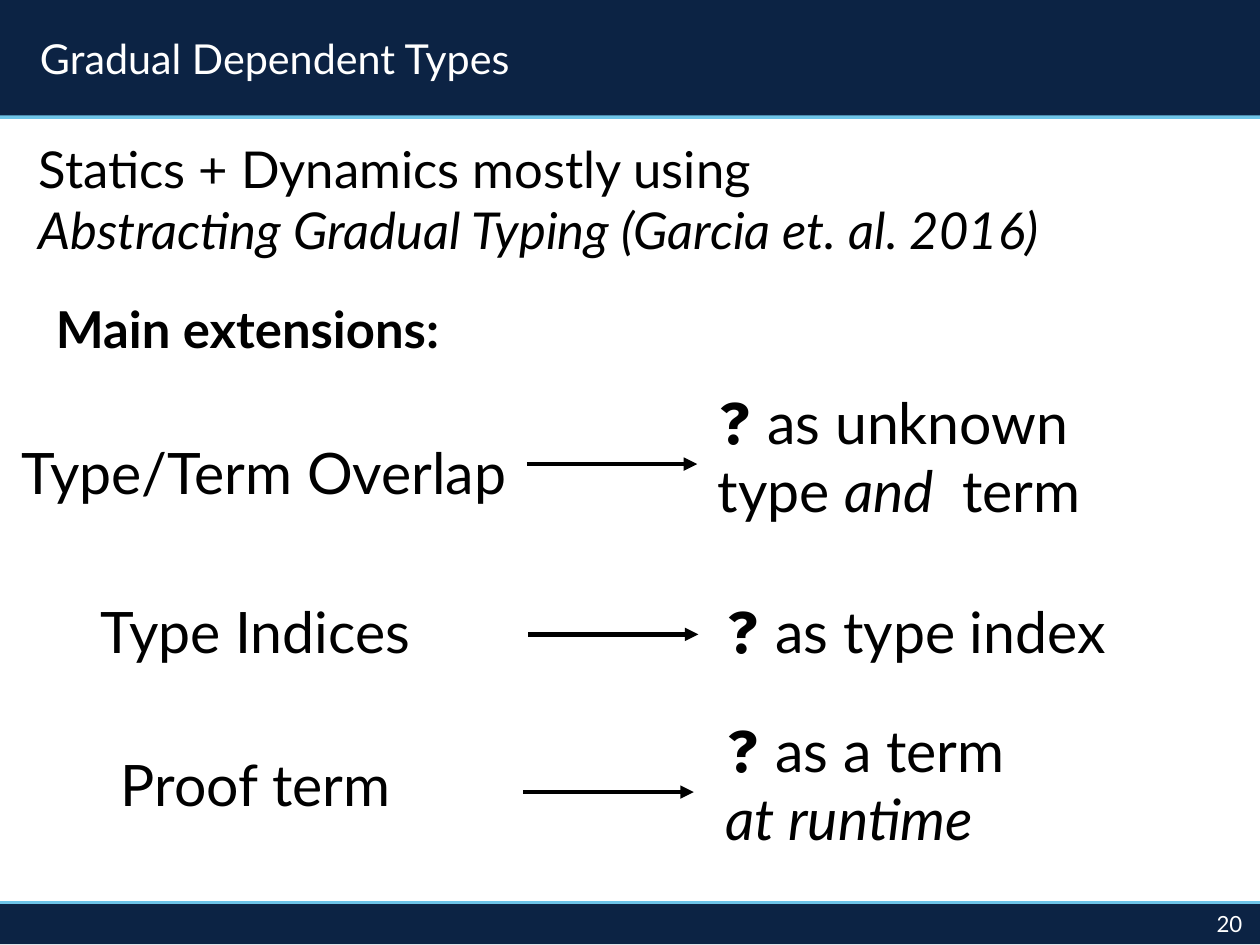
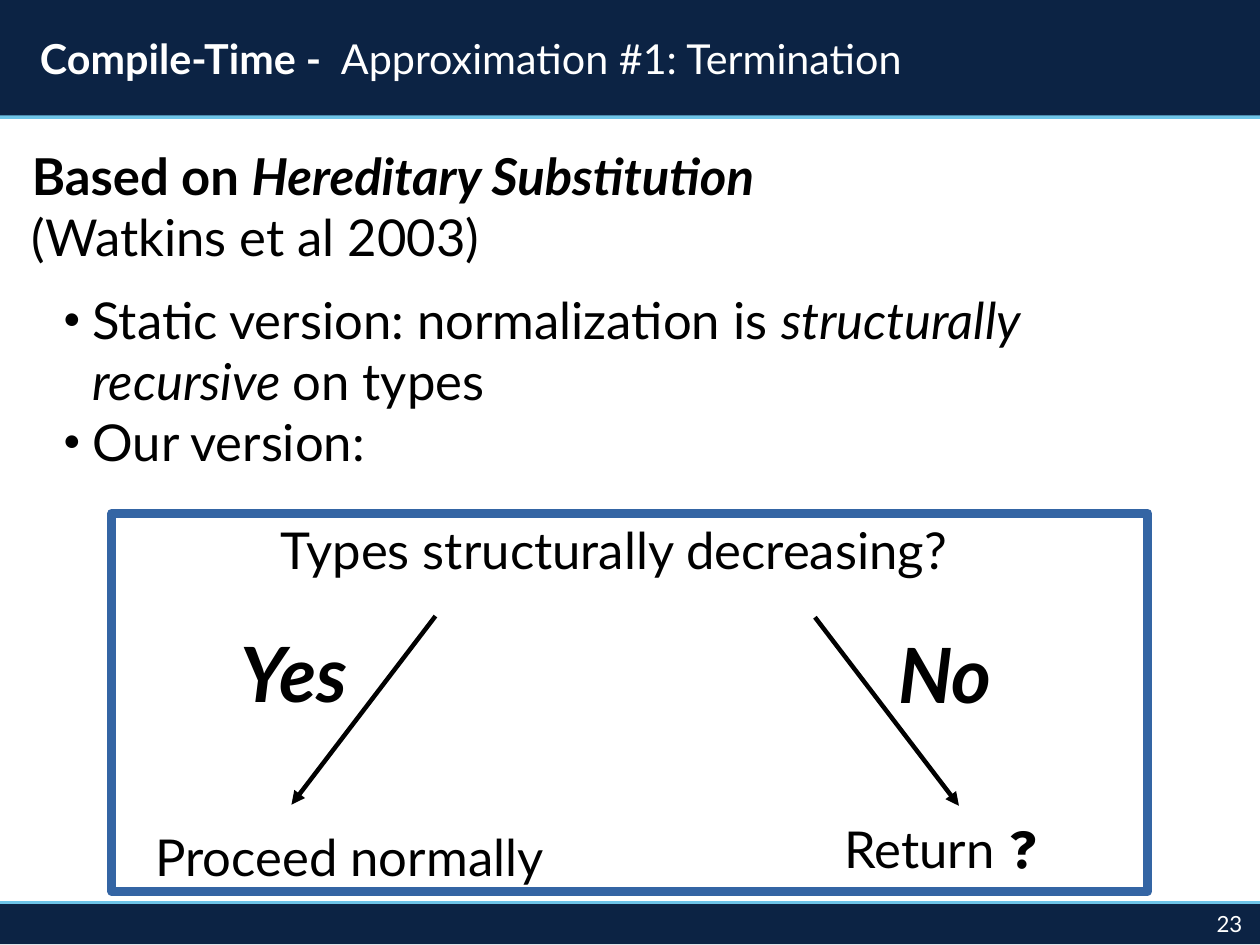
from dataclasses import dataclass

from lxml import etree
from pptx import Presentation
from pptx.dml.color import RGBColor
from pptx.enum.shapes import MSO_CONNECTOR, MSO_SHAPE
from pptx.enum.text import MSO_ANCHOR, PP_ALIGN
from pptx.oxml.ns import qn
from pptx.util import Inches, Pt

STRAIGHT = MSO_CONNECTOR.STRAIGHT
RECTANGLE = MSO_SHAPE.RECTANGLE
TOP, MIDDLE = MSO_ANCHOR.TOP, MSO_ANCHOR.MIDDLE
LEFT, RIGHT = PP_ALIGN.LEFT, PP_ALIGN.RIGHT

COLOURS = {
    "navy": "0C2344",
    "sky": "6EC4E8",
    "frame": "3465A4",
    "ink": "000000",
    "white": "FFFFFF",
}
BODY_FONT, CODE_FONT = "Lato", "Fira Code"
CM_PER_INCH = 2.54
WIDTH, HEIGHT = 28 / CM_PER_INCH, 21 / CM_PER_INCH
TITLE_HEIGHT, FOOTER_TOP, FOOTER_HEIGHT = 1.01, 7.91, 0.35
ARROW_WIDTH = 2.83
BOX_INSETS = (0.1, 0.05, 0.1, 0.05)
NO_INSETS = (0, 0, 0, 0)
BULLET_INDENT = 0.24


@dataclass(frozen=True)
class Span:
    text: str
    bold: bool = False
    italic: bool = False
    font: str = BODY_FONT


@dataclass(frozen=True)
class TextBox:
    left: float
    top: float
    width: float
    height: float
    paras: tuple[tuple[Span, ...], ...]
    size: int = 32
    colour: str = "ink"
    wrap: bool = True
    bullets: bool = False
    anchor: int = MIDDLE
    align: int = LEFT
    insets: tuple[float, ...] = BOX_INSETS


@dataclass(frozen=True)
class Arrow:
    left: float
    top: float
    across: float
    down: float = 0


UNKNOWN = Span("?", bold=True, font=CODE_FONT)


def label(left: float, top: float, width: float, height: float, *paras: tuple[Span, ...]) -> TextBox:
    return TextBox(left, top, width, height, paras, size=36, wrap=False)


def colour_of(name: str) -> RGBColor:
    return RGBColor.from_string(COLOURS[name])


def set_values(target, values: dict) -> None:
    for name, value in values.items():
        setattr(target, name, value)


def add_bullet(para) -> None:
    properties = para._p.get_or_add_pPr()
    properties.set("marL", str(Inches(BULLET_INDENT)))
    properties.set("indent", str(-Inches(BULLET_INDENT)))
    colour = etree.SubElement(properties, qn("a:buClr"))
    etree.SubElement(colour, qn("a:srgbClr"), val=COLOURS["ink"])
    etree.SubElement(properties, qn("a:buSzPct"), val="45000")
    etree.SubElement(properties, qn("a:buFont"), typeface=CODE_FONT)
    etree.SubElement(properties, qn("a:buChar"), char="●")


def fill_text(frame, box: TextBox) -> None:
    sides = ("margin_left", "margin_top", "margin_right", "margin_bottom")
    set_values(frame, {side: Inches(inset) for side, inset in zip(sides, box.insets)})
    set_values(frame, {"word_wrap": box.wrap, "vertical_anchor": box.anchor})
    for index, spans in enumerate(box.paras):
        para = frame.add_paragraph() if index else frame.paragraphs[0]
        para.alignment = box.align
        if box.bullets:
            add_bullet(para)
        for span in spans:
            run = para.add_run()
            run.text = span.text
            set_values(run.font, {
                "name": span.font,
                "size": Pt(box.size),
                "bold": span.bold,
                "italic": span.italic,
            })
            run.font.color.rgb = colour_of(box.colour)


def add_text(page, box: TextBox) -> None:
    shape = page.shapes.add_textbox(
        Inches(box.left), Inches(box.top), Inches(box.width), Inches(box.height))
    fill_text(shape.text_frame, box)


def add_line(page, start: tuple[float, float], end: tuple[float, float],
             colour: str, width: float, head: bool = False) -> None:
    line = page.shapes.add_connector(
        STRAIGHT, Inches(start[0]), Inches(start[1]), Inches(end[0]), Inches(end[1]))
    line.line.color.rgb = colour_of(colour)
    line.line.width = Pt(width)
    if head:
        etree.SubElement(line.line._get_or_add_ln(), qn("a:tailEnd"), type="triangle")
    etree.SubElement(line._element.spPr, qn("a:effectLst"))


def add_arrow(page, arrow: Arrow) -> None:
    end = (arrow.left + arrow.across, arrow.top + arrow.down)
    add_line(page, (arrow.left, arrow.top), end, "ink", ARROW_WIDTH, head=True)


def add_band(page, top: float, height: float):
    band = page.shapes.add_shape(RECTANGLE, 0, Inches(top), Inches(WIDTH), Inches(height))
    band.shadow.inherit = False
    band.fill.solid()
    band.fill.fore_color.rgb = colour_of("navy")
    band.line.fill.background()
    return band


def add_frame(page, left: float, top: float, width: float, height: float) -> None:
    frame = page.shapes.add_shape(
        RECTANGLE, Inches(left), Inches(top), Inches(width), Inches(height))
    frame.shadow.inherit = False
    frame.fill.background()
    frame.line.color.rgb = colour_of("frame")
    frame.line.width = Pt(5.67)


def add_page(deck, title: tuple[Span, ...], number: str):
    page = deck.slides.add_slide(deck.slide_layouts[6])
    for height in (FOOTER_TOP, TITLE_HEIGHT):
        add_line(page, (0, height), (WIDTH, height), "sky", 4.25)
    add_band(page, FOOTER_TOP, FOOTER_HEIGHT)
    title_band = add_band(page, 0, TITLE_HEIGHT)
    fill_text(title_band.text_frame, TextBox(
        0, 0, WIDTH, TITLE_HEIGHT, (title,), size=26, colour="white",
        insets=(0.35, 0, 0, 0)))
    add_text(page, TextBox(
        9.37, 7.96, 1.5, 0.22, ((Span(number),),), size=14, colour="white",
        anchor=TOP, align=RIGHT, insets=NO_INSETS))
    return page


def build_extensions(deck) -> None:
    page = add_page(deck, (Span("Gradual Dependent Types"),), "20")
    boxes = (
        TextBox(0.24, 1.08, 10.16, 1.31, (
            (Span("Statics + Dynamics mostly using"),),
            (Span("Abstracting Gradual Typing (Garcia et. al. 2016)", italic=True),))),
        TextBox(0.39, 2.29, 4.8, 1.17, ((Span("Main extensions:", bold=True),),)),
        label(0.09, 3.74, 4.68, 0.78, (Span("Type/Term Overlap"),)),
        label(6.18, 3.25, 3.61, 1.47,
              (UNKNOWN, Span(" as unknown")),
              (Span("type "), Span("and ", italic=True), Span(" term"))),
        label(0.78, 5.13, 3.12, 0.78, (Span("Type Indices"),)),
        label(6.25, 5.12, 3.72, 0.79, (UNKNOWN, Span(" as type index"))),
        label(0.96, 6.47, 2.74, 0.78, (Span("Proof term"),)),
        label(6.25, 6.12, 2.96, 1.47,
              (UNKNOWN, Span(" as a term")),
              (Span("at runtime", italic=True),)),
    )
    for box in boxes:
        add_text(page, box)
    for left, top in ((4.61, 4.06), (4.62, 5.55), (4.58, 6.93)):
        add_arrow(page, Arrow(left, top, 1.49))


def build_termination(deck) -> None:
    title = (Span("Compile-Time - ", bold=True), Span(" Approximation #1: Termination"))
    page = add_page(deck, title, "23")
    boxes = (
        TextBox(0.18, 1.14, 10.19, 1.31, (
            (Span("Based on ", bold=True),
             Span("Hereditary Substitution", bold=True, italic=True)),
            (Span("(Watkins et al 2003)"),))),
        TextBox(0.47, 2.24, 9.29, 2.17, (
            (Span("Static version: normalization is "),
             Span("structurally recursive ", italic=True), Span("on types")),
            (Span("Our version:"),)), bullets=True),
        TextBox(2.36, 4.15, 6.3, 1.31, ((Span("Types structurally decreasing?"),),)),
        TextBox(2.01, 4.92, 1.18, 1.92, ((Span("Yes", bold=True, italic=True),),), size=48),
        TextBox(7.76, 5.38, 1.18, 1.01, ((Span("No", bold=True, italic=True),),), size=48),
        TextBox(1.26, 6.64, 4.88, 1.7, ((Span("Proceed normally"),),)),
        TextBox(7.29, 6.64, 2.99, 1.57, ((Span("Return "), UNKNOWN),)),
    )
    for box in boxes:
        add_text(page, box)
    for arrow in (Arrow(3.81, 5.39, -1.26, 1.65), Arrow(7.13, 5.4, 1.26, 1.65)):
        add_arrow(page, arrow)
    add_frame(page, 0.98, 4.49, 9.06, 3.31)


def main() -> None:
    deck = Presentation()
    deck.slide_width = Inches(WIDTH)
    deck.slide_height = Inches(HEIGHT)
    build_extensions(deck)
    build_termination(deck)
    deck.save("out.pptx")


if __name__ == "__main__":
    main()
